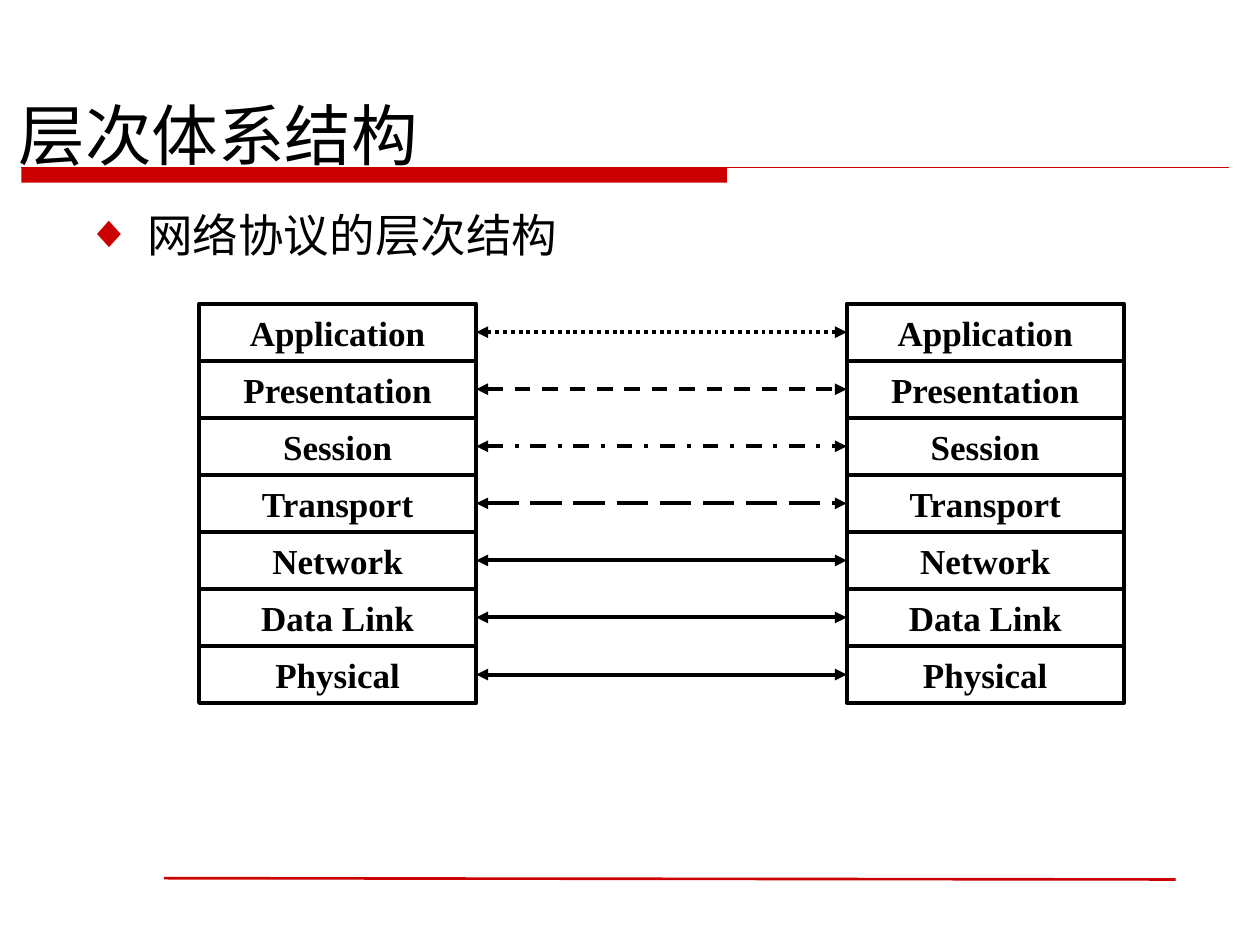
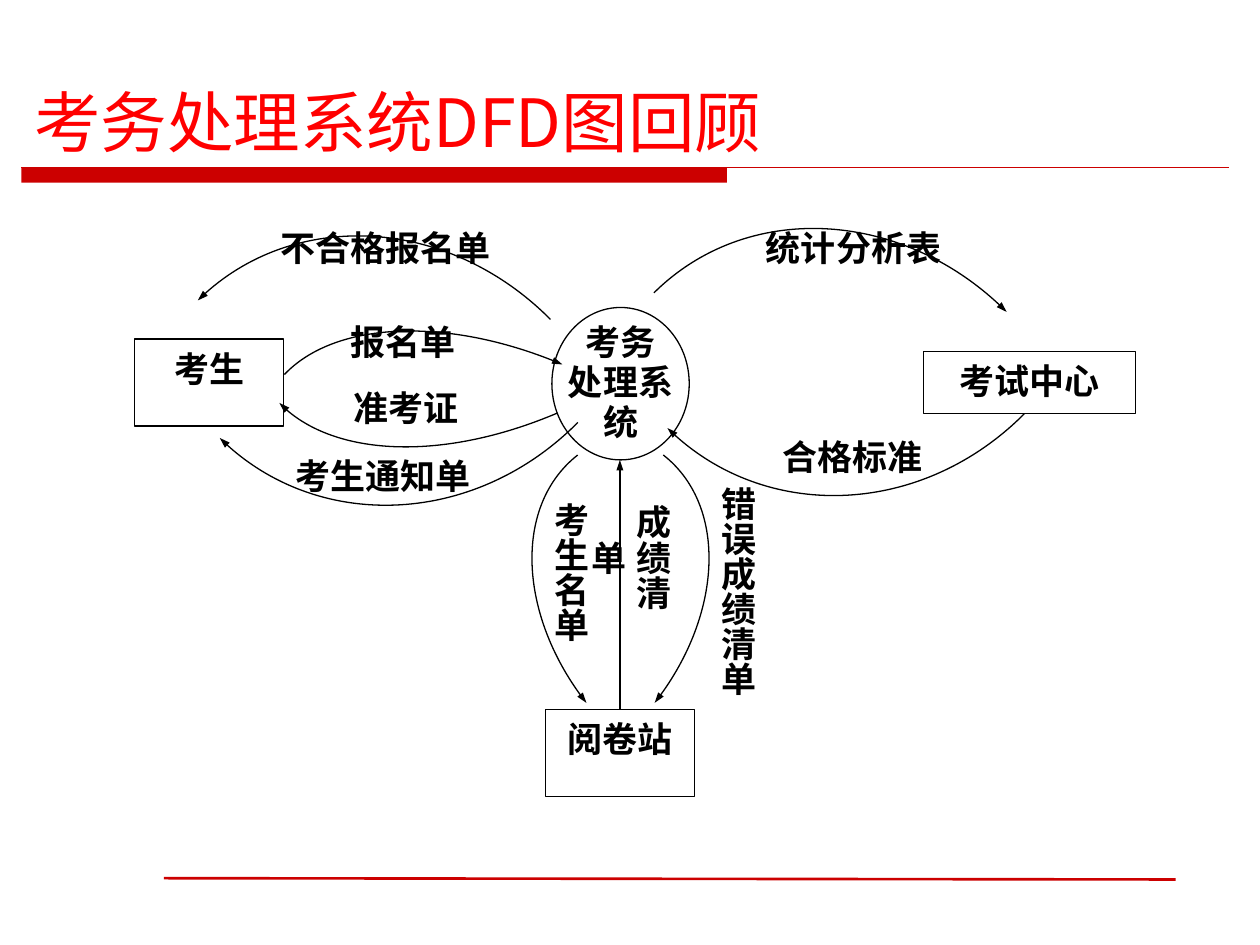
from lxml.etree import SubElement
from pptx import Presentation
from pptx.dml.color import RGBColor
from pptx.enum.dml import MSO_LINE
from pptx.enum.shapes import MSO_CONNECTOR, MSO_SHAPE
from pptx.enum.text import MSO_ANCHOR, MSO_AUTO_SIZE, PP_ALIGN
from pptx.oxml.ns import qn
from pptx.util import Inches, Pt

COLOURS = {"accent": "CC0000", "title": "FF0000", "ink": "000000", "paper": "FFFFFF"}
RGB = {name: RGBColor.from_string(value) for name, value in COLOURS.items()}
HEADING_FONT, LIST_FONT, LABEL_FONT = "Noto Sans CJK SC", "DejaVu Sans", "Times New Roman"


def style_text(box, font, size, colour="ink", bold=False, align=PP_ALIGN.LEFT, spacing=1.0):
    for para in box.text_frame.paragraphs:
        para.alignment = align
        para.line_spacing = spacing
        para.space_before = Pt(0)
        for span in para.runs:
            span.font.name = font
            span.font.size = Pt(size)
            span.font.bold = bold
            span.font.color.rgb = RGB[colour]
            SubElement(span.font._element, qn("a:ea"), typeface=HEADING_FONT)


def style_line(line_shape, width, colour="ink", dash=None, ends=(), end_width="med"):
    line_shape.line.color.rgb = RGB[colour]
    line_shape.line.width = Pt(width)
    if dash:
        line_shape.line.dash_style = dash
    outline = line_shape.element.xpath("./p:spPr/a:ln")[0]
    for end in ends:
        SubElement(outline, qn(f"a:{end}"), type="triangle", w=end_width)
    properties = line_shape.element.spPr
    if properties.find(qn("a:effectLst")) is None:
        SubElement(properties, qn("a:effectLst"))


deck = Presentation()
deck.slide_width, deck.slide_height = Inches(10), Inches(7.5)
layers_page = deck.slides.add_slide(deck.slide_layouts[1])
flow_page = deck.slides.add_slide(deck.slide_layouts[5])

# Shared band and rules, placed on the slide master
band = layers_page.shapes.add_shape(
    MSO_SHAPE.RECTANGLE, Inches(0.17), Inches(1.33), Inches(5.6), Inches(0.12))
band.fill.solid()
band.fill.fore_color.rgb = RGB["accent"]
band.line.fill.background()
band.shadow.inherit = False
master_parts = [band]
for x1, y1, x2, y2, width in [(0.17, 1.33, 9.75, 1.33, 1), (1.3, 6.97, 9.33, 6.98, 1.5)]:
    rule = layers_page.shapes.add_connector(
        MSO_CONNECTOR.STRAIGHT, Inches(x1), Inches(y1), Inches(x2), Inches(y2))
    style_line(rule, width, "accent")
    master_parts.append(rule)
for number, part in enumerate(master_parts):
    part.element.xpath(".//p:cNvPr")[0].set("id", str(100 + number))
    deck.slide_master.shapes.element.insert(2 + number, part.element)

# Titles
for page, text, colour, left, top, width, height in [
    (layers_page, "层次体系结构", "ink", 0.05, 0.61, 8.5, 0.82),
    (flow_page, "考务处理系统DFD图回顾", "title", 0.17, 0.6, 9.75, 0.73),
]:
    title = page.shapes.title
    title.left, title.top = Inches(left), Inches(top)
    title.width, title.height = Inches(width), Inches(height)
    title.text_frame.text = text
    title.text_frame.auto_size = MSO_AUTO_SIZE.NONE
    title.text_frame.vertical_anchor = MSO_ANCHOR.BOTTOM
    style_text(title, HEADING_FONT, 38, colour)

# Slide 1: bulleted heading
body = layers_page.placeholders[1]
body.left, body.top = Inches(0.08), Inches(1.59)
body.width, body.height = Inches(9.6), Inches(0.98)
body.text_frame.text = "网络协议的层次结构"
body.text_frame.auto_size = MSO_AUTO_SIZE.NONE
bullet_para = body.text_frame.paragraphs[0]
bullet_para.level = 1
style_text(body, LIST_FONT, 26)
bullet = bullet_para._p.get_or_add_pPr()
bullet.set("marL", str(Inches(0.99)))
bullet.set("indent", str(Inches(-0.48)))
SubElement(SubElement(bullet, qn("a:buClr")), qn("a:srgbClr"), val=COLOURS["accent"])
SubElement(bullet, qn("a:buChar"), char="◆")

# Slide 1: two protocol stacks, joined layer by layer
LAYERS = [
    ("Application", MSO_LINE.ROUND_DOT),
    ("Presentation", MSO_LINE.DASH),
    ("Session", MSO_LINE.DASH_DOT),
    ("Transport", MSO_LINE.LONG_DASH),
    ("Network", None),
    ("Data Link", None),
    ("Physical", None),
]
STACK_TOP, STACK_BOTTOM = 2.41, 5.58
layer_height = (STACK_BOTTOM - STACK_TOP) / len(LAYERS)
for row, (name, dash) in enumerate(LAYERS):
    peers = []
    for left in (1.58, 6.72):
        box = layers_page.shapes.add_shape(
            MSO_SHAPE.RECTANGLE, Inches(left), Inches(STACK_TOP + row * layer_height),
            Inches(2.2), Inches(layer_height))
        box.fill.solid()
        box.fill.fore_color.rgb = RGB["paper"]
        style_line(box, 2.25)
        box.text_frame.text = name
        box.text_frame.word_wrap = False
        box.text_frame.vertical_anchor = MSO_ANCHOR.MIDDLE
        style_text(box, LABEL_FONT, 20, bold=True, align=PP_ALIGN.CENTER)
        peers.append(box)
    link = layers_page.shapes.add_connector(MSO_CONNECTOR.STRAIGHT, 0, 0, 0, 0)
    link.begin_connect(peers[0], 3)
    link.end_connect(peers[1], 1)
    style_line(link, 2.25, dash=dash, ends=("headEnd", "tailEnd"))

# Slide 2: process circle and external entities
process = flow_page.shapes.add_shape(
    MSO_SHAPE.OVAL, Inches(4.38), Inches(2.44), Inches(1.09), Inches(1.21))
process.fill.background()
style_line(process, 0.75)
entities = {}
for name, left, top, width, height in [
    ("考试中心", 7.33, 2.79, 1.68, 0.49),
    ("考生", 1.07, 2.69, 1.18, 0.69),
    ("阅卷站", 4.33, 5.63, 1.18, 0.69),
]:
    box = flow_page.shapes.add_shape(
        MSO_SHAPE.RECTANGLE, Inches(left), Inches(top), Inches(width), Inches(height))
    box.fill.background()
    style_line(box, 0.75)
    box.text_frame.text = name
    box.text_frame.vertical_anchor = MSO_ANCHOR.TOP
    style_text(box, LABEL_FONT, 20, bold=True, align=PP_ALIGN.CENTER, spacing=1.05)
    entities[name] = box

# Slide 2: curved data flows, each an arc from corner to corner of a turned box
# An arc is the share of the width skipped at its start, two control points and its end
QUARTER = (0, [(0.55, 0), (1, 0.45), (1, 1)])
SHORTER = (0.2, [(0.66, 0.1), (1, 0.51), (1, 1)])
for left, top, width, height, angle, flip, end, (skipped, points) in [
    (2.03, 1.42, 1.88, 2.08, 315.2, None, "headEnd", QUARTER),
    (5.65, 1.36, 1.88, 2.08, 315.2, None, "tailEnd", QUARTER),
    (4.65, 3.8, 1.16, 1.59, 38.1, None, "tailEnd", QUARTER),
    (4.04, 3.8, 1.16, 1.59, 321.9, "flipH", "tailEnd", QUARTER),
    (5.75, 2.3, 1.93, 2.08, 44.8, "flipV", "headEnd", QUARTER),
    (2.73, 2.04, 1.17, 2, 293, None, "tailEnd", SHORTER),
    (2.69, 2.13, 1.17, 2, 67, "flipV", "headEnd", SHORTER),
    (2.2, 2.37, 1.93, 2.09, 44.8, "flipV", "headEnd", QUARTER),
]:
    builder = flow_page.shapes.build_freeform(Inches(left), Inches(top))
    builder.add_line_segments(
        [(Inches(left + x * width), Inches(top + y * height)) for x, y in points], close=False)
    flow = builder.convert_to_shape()
    arc = flow.element.xpath(".//a:path")[0]
    arc[0][0].set("x", str(Inches(skipped * width)))
    segments = arc.findall(qn("a:lnTo"))
    bezier = SubElement(arc, qn("a:cubicBezTo"))
    for segment in segments:
        bezier.append(segment[0])
        arc.remove(segment)
    flow.rotation = angle
    if flip:
        flow.element.spPr.find(qn("a:xfrm")).set(flip, "1")
    flow.fill.background()
    style_line(flow, 0.75, ends=(end,), end_width="sm")

# Slide 2: straight flow from the marking station up to the process
score_flow = flow_page.shapes.add_connector(
    MSO_CONNECTOR.STRAIGHT, Inches(4.92), Inches(5.63), Inches(4.92), Inches(3.65))
score_flow.begin_connect(entities["阅卷站"], 0)
style_line(score_flow, 0.75, ends=("tailEnd",), end_width="sm")

# Slide 2: process name and flow labels
for text, left, top, width, height, vertical, spacing in [
    ("考务\n处理系统", 4.3, 2.52, 1.25, 1.11, False, 0.95),
    ("不合格报名单", 1.99, 1.73, 2.14, 0.67, False, 1.05),
    ("统计分析表", 5.75, 1.73, 2.05, 0.67, False, 1.05),
    ("报名单", 2.61, 2.48, 1.18, 0.67, False, 1.05),
    ("准考证", 2.44, 3, 1.56, 0.67, False, 1.05),
    ("考生通知单", 2.08, 3.54, 1.92, 0.67, False, 1.05),
    ("合格标准", 5.99, 3.39, 1.56, 0.67, False, 1.05),
    ("考生名单", 4.13, 3.89, 0.63, 1.34, True, 1.05),
    ("成绩清单", 4.77, 3.91, 0.64, 1.3, True, 1.05),
    ("错误成绩清单", 5.45, 3.76, 0.64, 2, True, 1.05),
]:
    label = flow_page.shapes.add_textbox(
        Inches(left), Inches(top), Inches(width), Inches(height))
    frame = label.text_frame
    frame.text = text
    frame.word_wrap = True
    frame.auto_size = MSO_AUTO_SIZE.NONE
    if vertical:
        frame.margin_left = frame.margin_right = Inches(0.05)
        frame.margin_top = frame.margin_bottom = Inches(0.1)
        frame._txBody.bodyPr.set("vert", "eaVert")
    style_text(label, LABEL_FONT, 20, bold=True, align=PP_ALIGN.CENTER, spacing=spacing)

deck.save("out.pptx")
